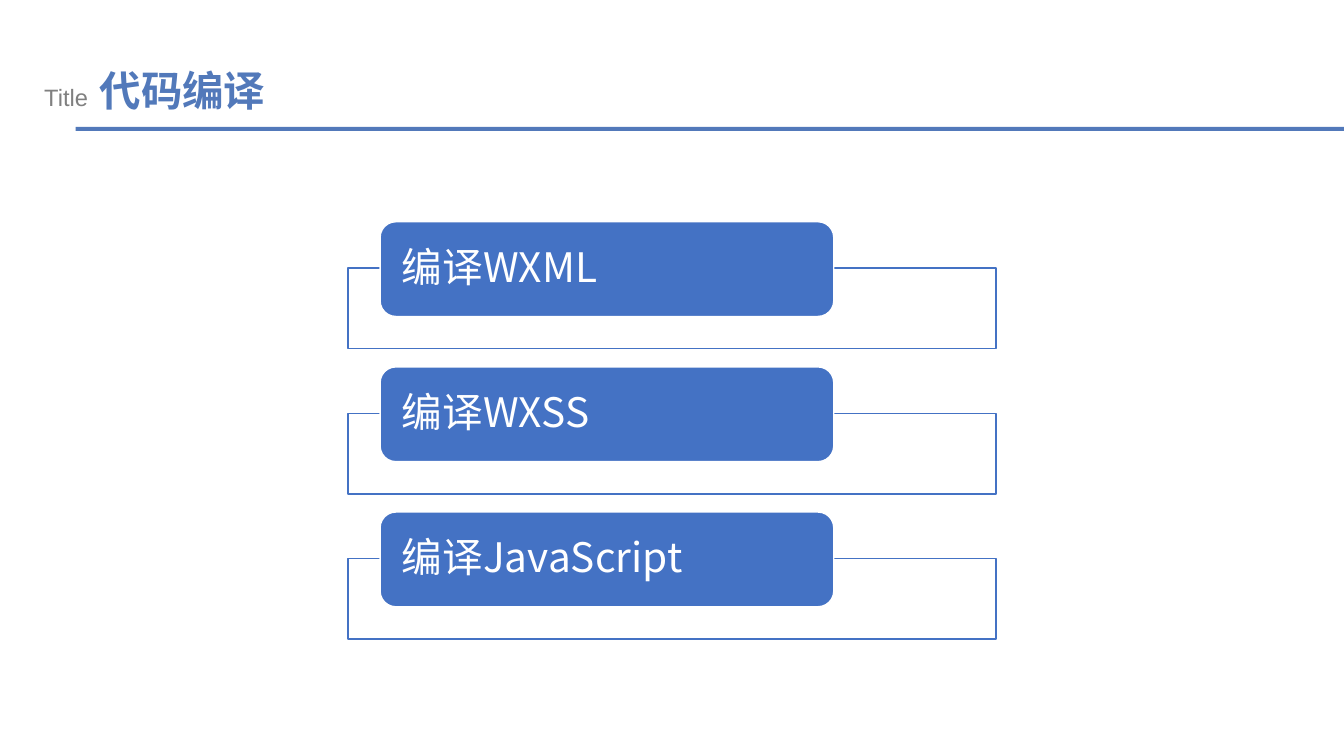
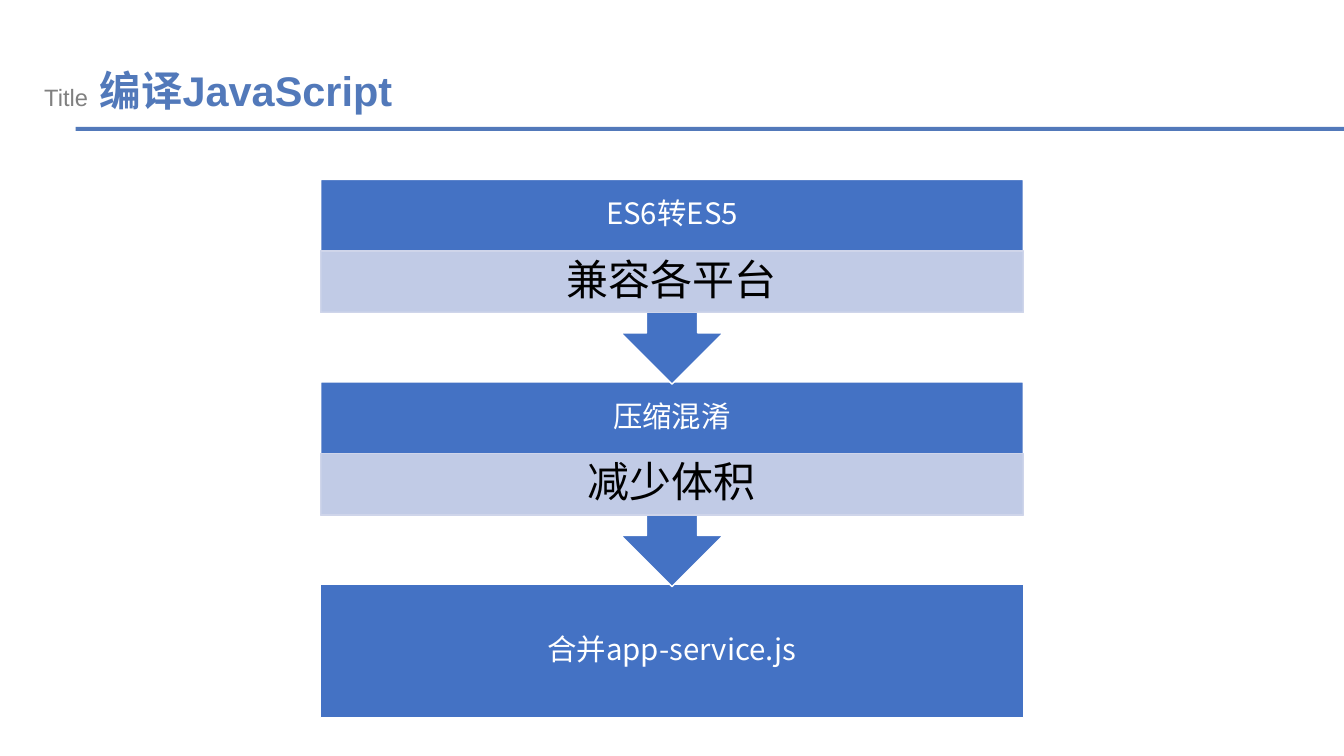
from dataclasses import dataclass
from typing import Optional

from lxml.etree import SubElement
from pptx import Presentation
from pptx.dml.color import RGBColor
from pptx.enum.shapes import MSO_SHAPE
from pptx.enum.text import MSO_ANCHOR, MSO_AUTO_SIZE, PP_ALIGN
from pptx.oxml.ns import qn
from pptx.util import Inches, Pt

# Shared look
TITLE_BLUE = RGBColor(0x52, 0x79, 0xBA)
BLUE = RGBColor(0x44, 0x72, 0xC4)
PALE_BLUE = RGBColor(0xCF, 0xD5, 0xEA)
GREY = RGBColor(0x80, 0x80, 0x80)
WHITE = RGBColor(0xFF, 0xFF, 0xFF)
BLACK = RGBColor(0, 0, 0)
LATIN_FONT = "Arial"
CJK_FONT = "Noto Sans CJK SC"


@dataclass(frozen=True)
class Box:
    left: float
    top: float
    width: float
    height: float

    def emu(self):
        return [Inches(v) for v in (self.left, self.top, self.width, self.height)]


@dataclass(frozen=True)
class Label:
    text: str
    size: float
    color: RGBColor = WHITE
    align: PP_ALIGN = PP_ALIGN.CENTER
    inset_x: float = 0.16
    inset_y: float = 0.16


@dataclass(frozen=True)
class Step:
    name: str
    purpose: str


def add_run(paragraph, text: str, size: float, color: RGBColor,
            font: str = CJK_FONT, bold: bool = False) -> None:
    run = paragraph.add_run()
    run.text = text
    run.font.size = Pt(size)
    run.font.name = font
    run.font.bold = bold
    run.font.color.rgb = color
    east_asian = SubElement(run.font._element, qn("a:ea"))
    east_asian.set("typeface", CJK_FONT)


def write_label(shape, label: Label) -> None:
    frame = shape.text_frame
    frame.word_wrap = True
    frame.vertical_anchor = MSO_ANCHOR.MIDDLE
    frame.margin_left = frame.margin_right = Inches(label.inset_x)
    frame.margin_top = frame.margin_bottom = Inches(label.inset_y)
    paragraph = frame.paragraphs[0]
    paragraph.alignment = label.align
    paragraph.line_spacing = 0.9
    add_run(paragraph, label.text, label.size, label.color)


def add_block(slide, kind: MSO_SHAPE, box: Box, fill: RGBColor,
              line: Optional[RGBColor] = WHITE, label: Optional[Label] = None,
              translucent: bool = False):
    shape = slide.shapes.add_shape(kind, *box.emu())
    shape.shadow.inherit = False
    shape.fill.solid()
    shape.fill.fore_color.rgb = fill
    if line is None:
        shape.line.fill.background()
    else:
        shape.line.color.rgb = line
        shape.line.width = Pt(1)
    if translucent:
        color = shape._element.spPr.find(qn("a:solidFill")).find(qn("a:srgbClr"))
        SubElement(color, qn("a:alpha")).set("val", "90000")
    if label:
        write_label(shape, label)
    return shape


def add_titled_slide(prs, title: str):
    slide = prs.slides.add_slide(prs.slide_layouts[6])
    add_block(slide, MSO_SHAPE.RECTANGLE, Box(0.75, 1.26, 12.58, 0.04), TITLE_BLUE, None)
    heading = slide.shapes.add_textbox(*Box(0.34, 0.6, 10.74, 0.6).emu())
    heading.text_frame.word_wrap = True
    heading.text_frame.auto_size = MSO_AUTO_SIZE.SHAPE_TO_FIT_TEXT
    paragraph = heading.text_frame.paragraphs[0]
    add_run(paragraph, "Title", 16.9, GREY, LATIN_FONT)
    add_run(paragraph, " ", 29.6, BLACK, LATIN_FONT)
    add_run(paragraph, title, 29.6, TITLE_BLUE, LATIN_FONT, bold=True)
    return slide


def add_target(slide, top: float, name: str) -> None:
    """A tab sitting on the upper edge of an open frame."""
    add_block(slide, MSO_SHAPE.RECTANGLE, Box(3.45, top + 0.46, 6.43, 0.8),
              WHITE, BLUE, translucent=True)
    add_block(slide, MSO_SHAPE.ROUNDED_RECTANGLE, Box(3.77, top, 4.5, 0.94), BLUE,
              label=Label(name, 29, align=PP_ALIGN.LEFT, inset_x=0.17, inset_y=0))


STEP_LEFT, STEP_WIDTH = 3.18, 6.97


def add_step(slide, top: float, step: Step) -> None:
    """A downward callout with its name and a pale band for its purpose."""
    callout = add_block(slide, MSO_SHAPE.UP_ARROW_CALLOUT,
                        Box(STEP_LEFT, top, STEP_WIDTH, 2.03), BLUE)
    callout.rotation = 180
    # The name stays upright in its own box over the turned callout
    name = slide.shapes.add_textbox(*Box(STEP_LEFT, top, STEP_WIDTH, 0.71).emu())
    write_label(name, Label(step.name, 21))
    add_block(slide, MSO_SHAPE.RECTANGLE, Box(STEP_LEFT, top + 0.71, STEP_WIDTH, 0.61),
              PALE_BLUE, PALE_BLUE, Label(step.purpose, 30, BLACK, inset_x=0.23, inset_y=0.04),
              translucent=True)


prs = Presentation()
prs.slide_width, prs.slide_height = Inches(13.33), Inches(7.5)

# Slide 1: what gets compiled
compile_slide = add_titled_slide(prs, "代码编译")
for row, target in enumerate(("编译WXML", "编译WXSS", "编译JavaScript")):
    add_target(compile_slide, 2.2 + row * 1.44, target)

# Slide 2: JavaScript steps, drawn from the last one up so arrows overlap
script_slide = add_titled_slide(prs, "编译JavaScript")
FIRST_TOP, STEP_PITCH = 1.78, 2.01
steps = (Step("ES6转ES5", "兼容各平台"), Step("压缩混淆", "减少体积"))
add_block(script_slide, MSO_SHAPE.RECTANGLE,
          Box(STEP_LEFT, FIRST_TOP + len(steps) * STEP_PITCH, STEP_WIDTH, 1.32), BLUE,
          label=Label("合并app-service.js", 21))
for row, step in reversed(list(enumerate(steps))):
    add_step(script_slide, FIRST_TOP + row * STEP_PITCH, step)

prs.save("out.pptx")
